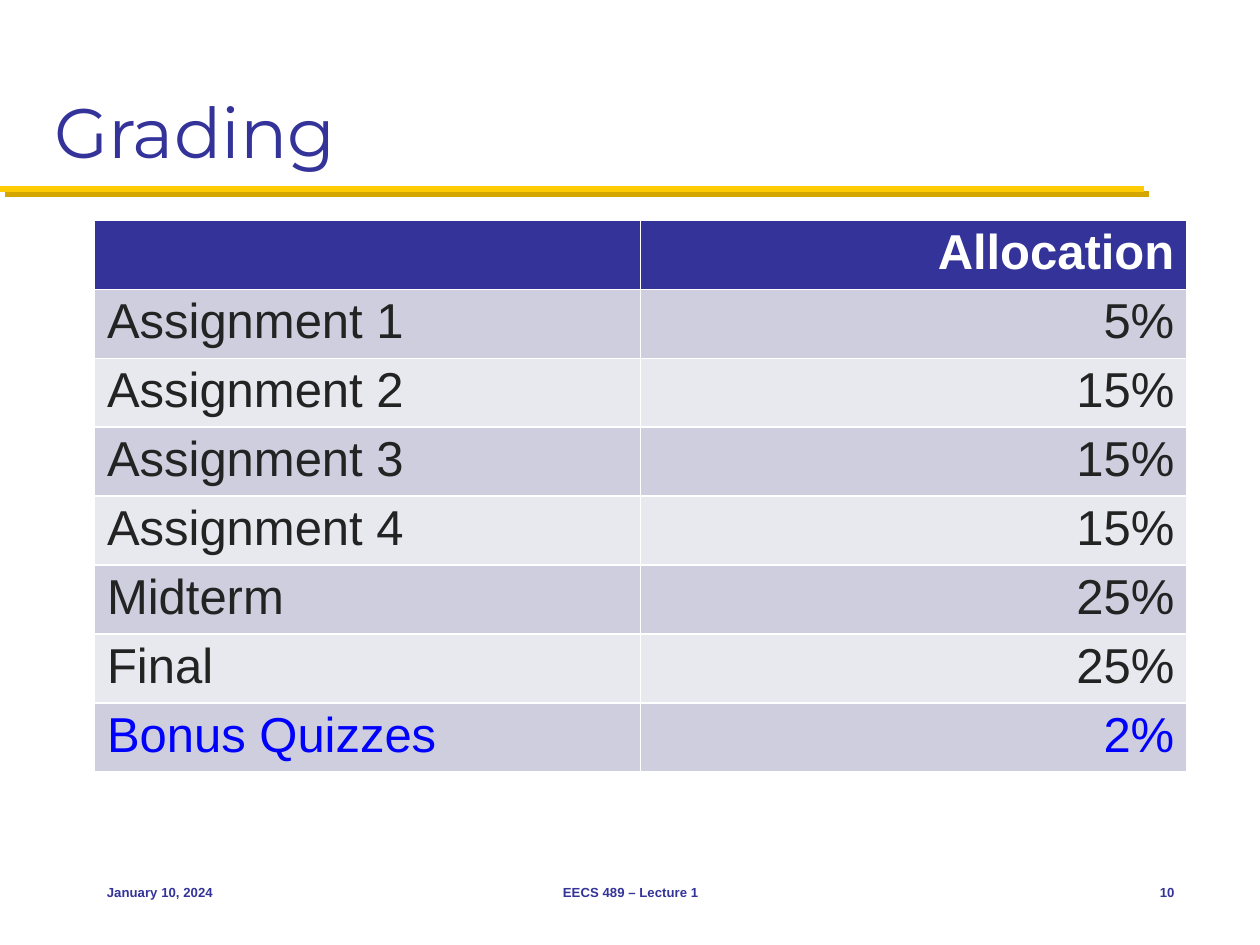
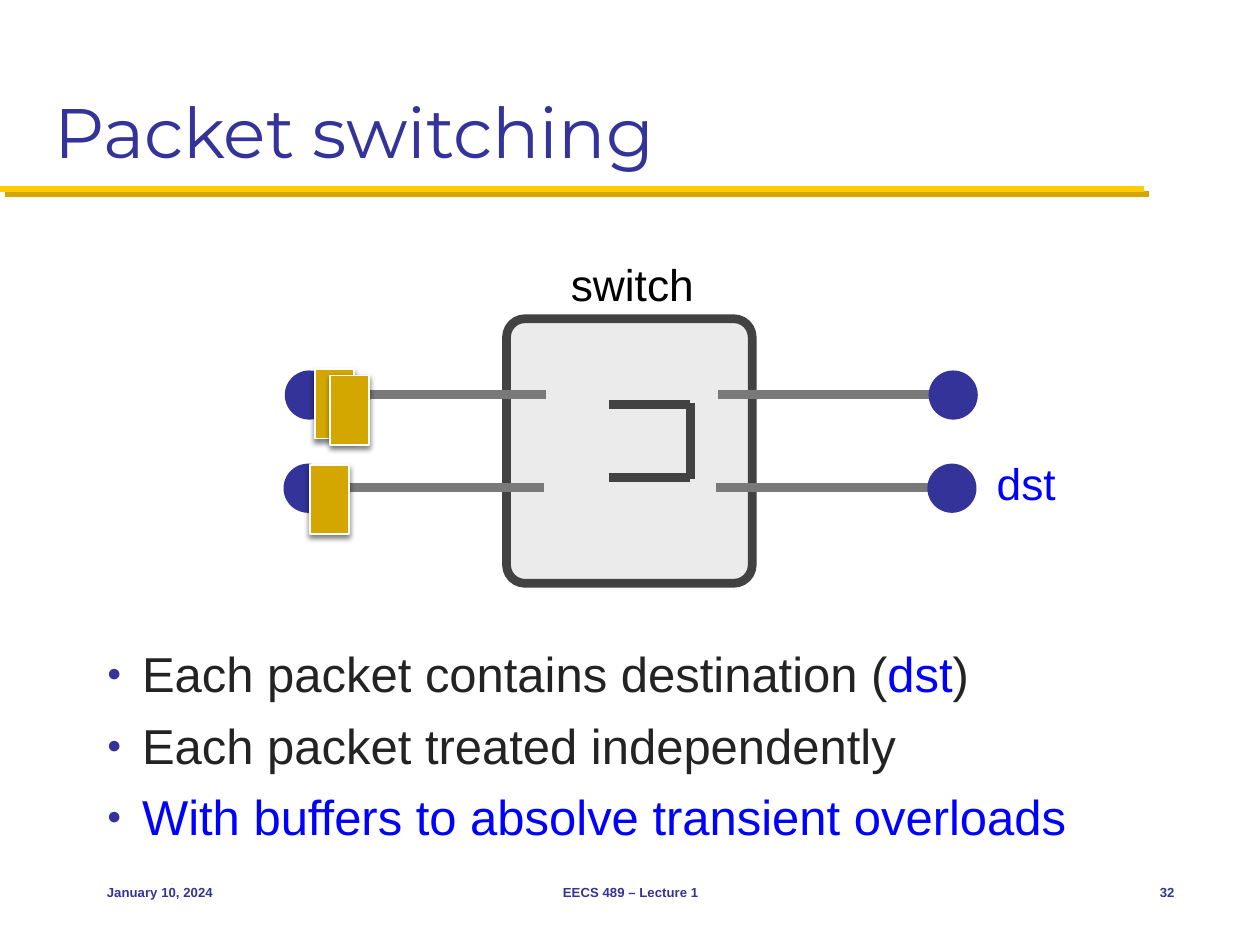
from pptx import Presentation
from pptx.dml.color import RGBColor
from pptx.enum.shapes import MSO_CONNECTOR, MSO_SHAPE
from pptx.enum.text import MSO_ANCHOR, MSO_AUTO_SIZE, PP_ALIGN
from pptx.oxml import parse_xml
from pptx.util import Inches, Pt

NAVY, GOLD, OCHRE = "333399", "FFCB05", "D3A600"
INK, BLUE, WHITE, BLACK = "232323", "0000FF", "FFFFFF", "000000"
GREY, DARK, PALE = "797979", "424242", "EBEBEB"
BANDS = ["E8E8EF", "CECEDE"]
LEFT, MID, RIGHT = PP_ALIGN.LEFT, PP_ALIGN.CENTER, PP_ALIGN.RIGHT
NS = 'xmlns:a="http://schemas.openxmlformats.org/drawingml/2006/main"'
FLAT = f"<a:effectLst {NS}/>"
CAST = (f'<a:effectLst {NS}><a:outerShdw blurRad="%d" dist="%d" dir="%d" algn="ctr" rotWithShape="0">'
        '<a:srgbClr val="%s"><a:alpha val="%d"/></a:srgbClr></a:outerShdw></a:effectLst>')


def paint(fill, shade):
    fill.solid()
    fill.fore_color.rgb = RGBColor.from_string(shade)


def write(para, text, size=28, shade=INK, face="Arial", bold=False, align=LEFT):
    para.alignment = align
    run = para.add_run()
    run.text = text
    run.font.size = Pt(size)
    run.font.name = face
    run.font.bold = bold
    paint(run.font.fill, shade)


deck = Presentation()
deck.slide_width, deck.slide_height = Inches(10), Inches(7.5)
slides = []
effects = []

for name, page in [("Grading", "10"), ("Packet switching", "32")]:
    slide = deck.slides.add_slide(deck.slide_layouts[5])
    slides.append(slide)
    band = slide.shapes.add_connector(MSO_CONNECTOR.STRAIGHT, 0, Inches(1.5), Inches(9.08), Inches(1.5))
    paint(band.line.fill, GOLD)
    band.line.width = Pt(3.5)
    effects.append((band, CAST % (0, Pt(4.2), 2700000, OCHRE, 100000)))

    title = slide.shapes.title
    title.left, title.top = Inches(0.33), Inches(0.17)
    title.width, title.height = Inches(9.33), Inches(1.25)
    frame = title.text_frame
    frame.auto_size = MSO_AUTO_SIZE.NONE
    frame.vertical_anchor = MSO_ANCHOR.BOTTOM
    write(frame.paragraphs[0], name, size=40, shade=NAVY, face="Montserrat")

    for text, x, width, align in [
        ("January 10, 2024", 0.75, 2.08, LEFT),
        ("EECS 489 – Lecture 1", 3.42, 3.17, MID),
        (page, 8.75, 0.67, RIGHT),
    ]:
        foot = slide.shapes.add_textbox(Inches(x), Inches(6.83), Inches(width), Inches(0.5))
        frame = foot.text_frame
        frame.word_wrap = True
        frame.vertical_anchor = MSO_ANCHOR.MIDDLE
        write(frame.paragraphs[0], text, size=7.5, shade=NAVY, bold=True, align=align)

grading, packets = slides

marks = [
    ("", "Allocation"),
    ("Assignment 1", "5%"),
    ("Assignment 2", "15%"),
    ("Assignment 3", "15%"),
    ("Assignment 4", "15%"),
    ("Midterm", "25%"),
    ("Final", "25%"),
    ("Bonus Quizzes", "2%"),
]
table = grading.shapes.add_table(
    len(marks), 2, Inches(0.75), Inches(1.75), Inches(8.67), Inches(0.53 * len(marks))).table
for r, row in enumerate(marks):
    head = r == 0
    shade = WHITE if head else BLUE if row[0].startswith("Bonus") else INK
    for c, text in enumerate(row):
        cell = table.cell(r, c)
        paint(cell.fill, NAVY if head else BANDS[r % 2])
        cell.margin_top = cell.margin_bottom = Inches(0.04)
        if text:
            write(cell.text_frame.paragraphs[0], text, shade=shade, bold=head, align=(LEFT, RIGHT)[c])

box = packets.shapes.add_textbox(Inches(0.75), Inches(5.06), Inches(8.67), Inches(1.65))
frame = box.text_frame
frame.word_wrap = True
points = [
    [("Each packet contains destination (", INK), ("dst", BLUE), (")", INK)],
    [("Each packet treated independently", INK)],
    [("With buffers to absolve transient overloads", BLUE)],
]
for n, point in enumerate(points):
    para = frame.add_paragraph() if n else frame.paragraphs[0]
    props = para._p.get_or_add_pPr()
    props.set("marL", str(Inches(0.28)))
    props.set("indent", str(-Inches(0.28)))
    for tag in [f'buClr {NS}><a:srgbClr val="{NAVY}"/></a:buClr>',
                f'buSzPct {NS} val="50000"/>',
                f'buFont {NS} typeface="Arial"/>',
                f'buChar {NS} char="●"/>']:
        props.append(parse_xml("<a:" + tag))
    if n:
        para.space_before = Pt(7.2)
    for text, shade in point:
        write(para, text, shade=shade)

switch = packets.shapes.add_shape(
    MSO_SHAPE.ROUNDED_RECTANGLE, Inches(4.02), Inches(2.53), Inches(1.95), Inches(2.1))
switch.adjustments[0] = 0.075
switch.shadow.inherit = False
paint(switch.fill, PALE)
paint(switch.line.fill, DARK)
switch.line.width = Pt(5)

for x1, y1, x2, y2, shade in [
    (2.5, 3.13, 4.33, 3.13, GREY),
    (5.7, 3.13, 7.52, 3.13, GREY),
    (2.49, 3.87, 4.32, 3.87, GREY),
    (5.68, 3.87, 7.51, 3.87, GREY),
    (5.48, 3.8, 5.48, 3.2, DARK),
    (4.83, 3.21, 5.48, 3.21, DARK),
    (4.83, 3.79, 5.48, 3.79, DARK),
]:
    wire = packets.shapes.add_connector(
        MSO_CONNECTOR.STRAIGHT, Inches(x1), Inches(y1), Inches(x2), Inches(y2))
    paint(wire.line.fill, shade)
    wire.line.width = Pt(5)
    effects.append((wire, FLAT))

for x, y in [(2.26, 2.94), (7.37, 2.94), (2.25, 3.68), (7.36, 3.68)]:
    host = packets.shapes.add_shape(MSO_SHAPE.OVAL, Inches(x), Inches(y), Inches(0.39), Inches(0.39))
    host.shadow.inherit = False
    paint(host.fill, NAVY)
    host.line.fill.background()

for x, y in [(2.5, 2.93), (2.62, 2.98), (2.46, 3.69)]:
    packet = packets.shapes.add_shape(
        MSO_SHAPE.RECTANGLE, Inches(x), Inches(y), Inches(0.31), Inches(0.55))
    paint(packet.fill, OCHRE)
    paint(packet.line.fill, WHITE)
    packet.line.width = Pt(1)
    effects.append((packet, CAST % (Pt(3), Pt(2), 5400000, BLACK, 50000)))

for text, x, y, width, shade in [("switch", 4.49, 2, 1.06, BLACK), ("dst", 7.87, 3.58, 0.55, BLUE)]:
    label = packets.shapes.add_textbox(Inches(x), Inches(y), Inches(width), Inches(0.5))
    frame = label.text_frame
    frame.word_wrap = False
    frame.vertical_anchor = MSO_ANCHOR.MIDDLE
    frame.margin_left = frame.margin_right = Inches(0.04)
    frame.margin_top = frame.margin_bottom = Inches(0.04)
    write(frame.paragraphs[0], text, size=25.3, shade=shade)

for shape, effect in effects:
    shape._element.spPr.append(parse_xml(effect))

deck.save("out.pptx")
